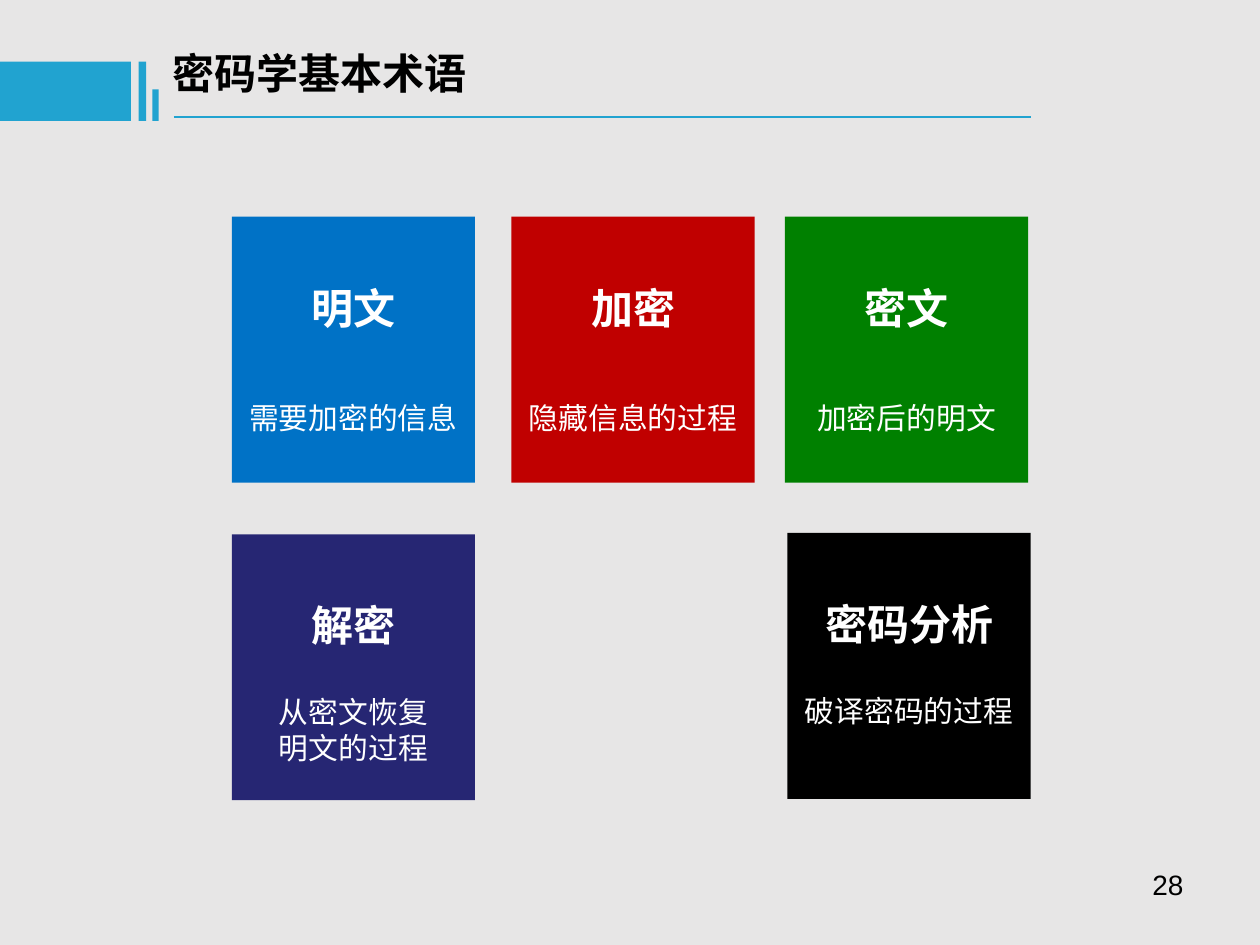
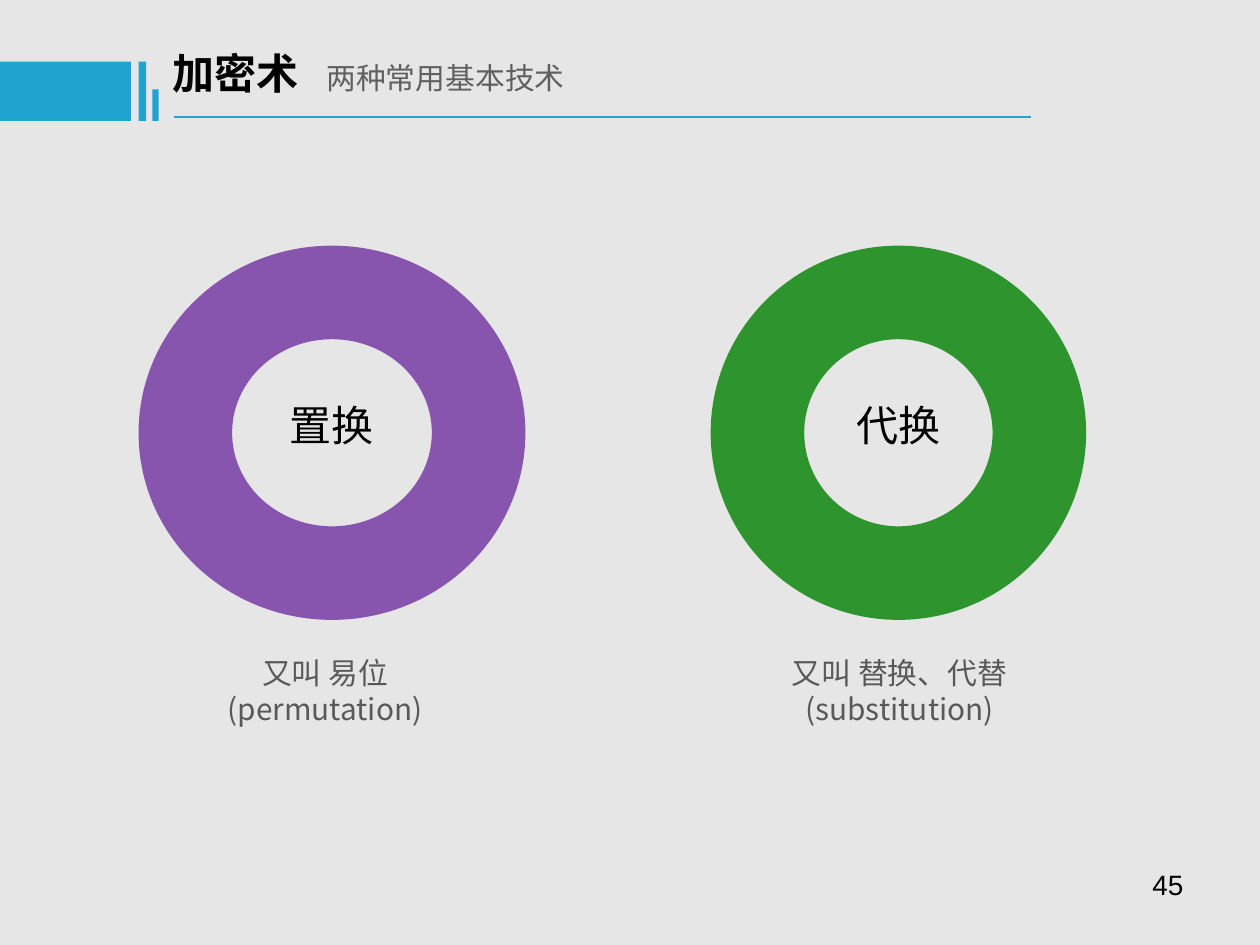
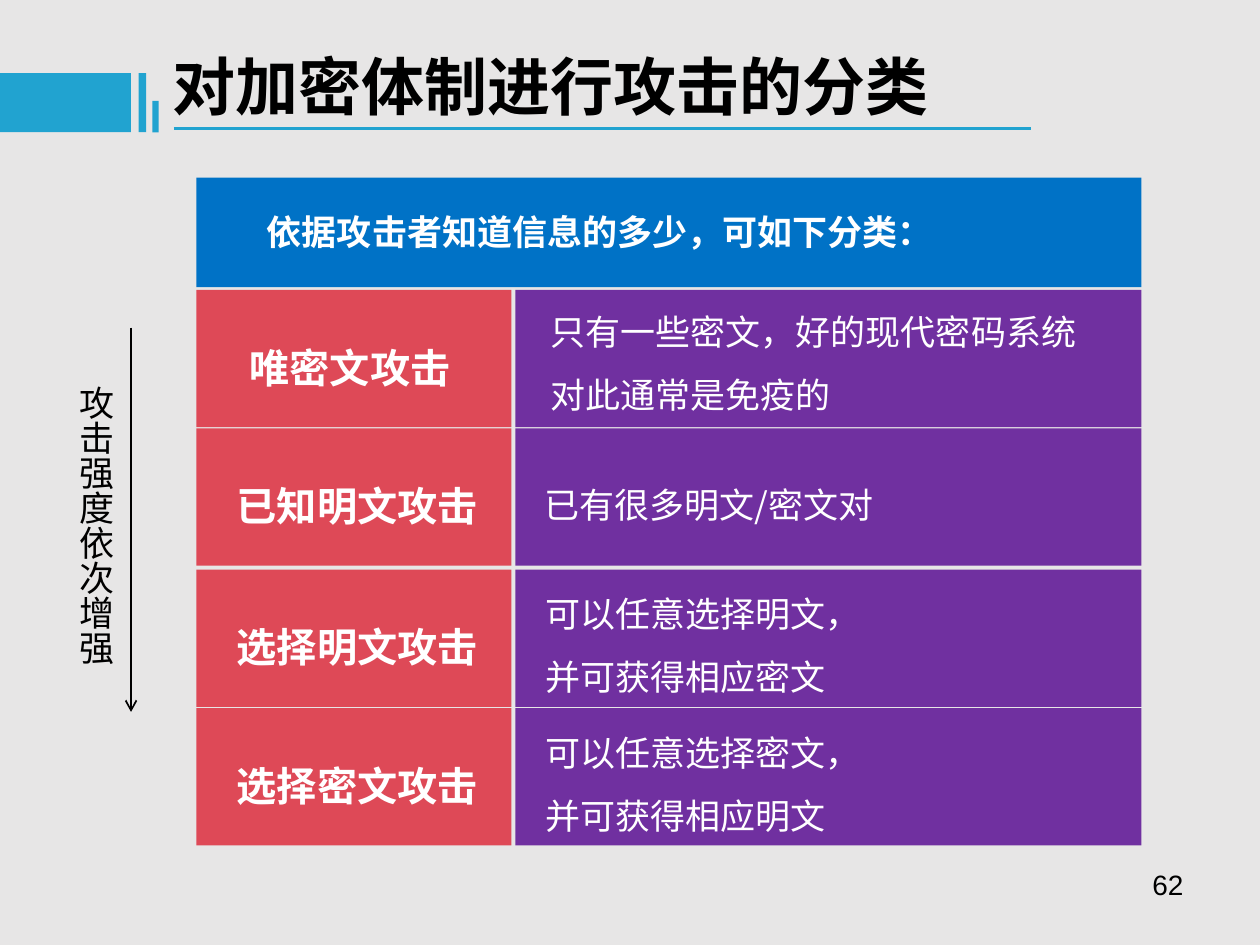
from lxml.etree import SubElement
from pptx import Presentation
from pptx.dml.color import RGBColor
from pptx.enum.shapes import MSO_CONNECTOR, MSO_SHAPE
from pptx.enum.text import MSO_ANCHOR, MSO_AUTO_SIZE, PP_ALIGN
from pptx.oxml.ns import qn
from pptx.util import Inches, Pt

BACKGROUND = RGBColor(0xE7, 0xE6, 0xE6)
ACCENT = RGBColor(0x21, 0xA3, 0xD0)
BLACK = RGBColor(0x00, 0x00, 0x00)
WHITE = RGBColor(0xFF, 0xFF, 0xFF)
SUBTITLE_GRAY = RGBColor(0x60, 0x60, 0x60)
CAPTION_GRAY = RGBColor(0x59, 0x59, 0x59)
BLUE = RGBColor(0x00, 0x72, 0xC6)
RED = RGBColor(0xC0, 0x00, 0x00)
GREEN = RGBColor(0x00, 0x80, 0x00)
NAVY = RGBColor(0x26, 0x26, 0x73)
PURPLE = RGBColor(0x70, 0x30, 0xA0)
ROSE = RGBColor(0xDE, 0x49, 0x57)
CJK_FONT = "Noto Sans CJK SC"


def add_block(slide, box, color, preset=MSO_SHAPE.RECTANGLE):
    block = slide.shapes.add_shape(preset, *map(Inches, box))
    block.shadow.inherit = False
    block.fill.solid()
    block.fill.fore_color.rgb = color
    block.line.fill.background()
    return block


def write(shape, lines, size, color=WHITE, bold=False, align=PP_ALIGN.LEFT,
          spacing=None, font=CJK_FONT):
    frame = shape.text_frame
    frame.word_wrap = True
    frame.auto_size = MSO_AUTO_SIZE.NONE
    frame.vertical_anchor = MSO_ANCHOR.TOP
    frame.text = "\n".join(lines)
    for paragraph in frame.paragraphs:
        paragraph.alignment = align
        if spacing:
            paragraph.line_spacing = spacing
        paragraph.font.size = Pt(size)
        paragraph.font.bold = bold
        paragraph.font.color.rgb = color
        paragraph.font.name = font
        defaults = paragraph._p.pPr.find(qn("a:defRPr"))
        SubElement(defaults, qn("a:ea"), typeface=CJK_FONT)
    return frame


prs = Presentation()
prs.slide_width, prs.slide_height = Inches(10), Inches(7.5)
prs.slide_master.background.fill.solid()
prs.slide_master.background.fill.fore_color.rgb = BACKGROUND

# Title, accent band, rule and page number of every slide
slides = []
connectors = []
for heading, size, band_top, page in [
    ("密码学基本术语", 24, 0.49, "28"),
    ("加密术", 24, 0.49, "45"),
    ("对加密体制进行攻击的分类", 36, 0.58, "62"),
]:
    slide = prs.slides.add_slide(prs.slide_layouts[5])
    slides.append(slide)
    title = slide.shapes.title
    title.left, title.top = Inches(1.27), Inches(0.33)
    title.width, title.height = Inches(7.25), Inches(0.68)
    write(title, [heading], size, BLACK, bold=True)

    for left, drop, width in [(0, 0, 1.04), (1.1, 0, 0.06), (1.21, 0.22, 0.05)]:
        add_block(slide, (left, band_top + drop, width, 0.47 - drop), ACCENT)
    rule_top = Inches(band_top + 0.44)
    rule = slide.shapes.add_connector(
        MSO_CONNECTOR.STRAIGHT, Inches(1.38), rule_top, Inches(8.18), rule_top)
    rule.line.color.rgb = ACCENT
    rule.line.width = Pt(1.5)
    connectors.append(rule)

    number = slide.shapes.add_textbox(
        Inches(7.17), Inches(6.84), Inches(2.32), Inches(0.5))
    write(number, [page], 16, BLACK, align=PP_ALIGN.RIGHT, font="Arial")

terms, techniques, attacks = slides

# Slide 1: tiles with the basic terms
for left, top, color, term, meaning, meaning_drop in [
    (1.84, 1.72, BLUE, "明文", ["需要加密的信息"], 1.4),
    (4.06, 1.72, RED, "加密", ["隐藏信息的过程"], 1.4),
    (6.23, 1.72, GREEN, "密文", ["加密后的明文"], 1.4),
    (1.84, 4.24, NAVY, "解密", ["从密文恢复", "明文的过程"], 1.22),
    (6.25, 4.23, BLACK, "密码分析", ["破译密码的过程"], 1.22),
]:
    add_block(terms, (left, top, 1.93, 2.11), color)
    for lines, drop, height, size, bold in [
        ([term], 0.47, 0.5, 24, True),
        (meaning, meaning_drop, 0.67, 17, False),
    ]:
        label = terms.shapes.add_textbox(
            Inches(left), Inches(top + drop), Inches(1.93), Inches(height))
        write(label, lines, size, bold=bold, align=PP_ALIGN.CENTER)

# Slide 2: subtitle beside the title, set off by a tab stop
heading = techniques.shapes.title.text_frame.paragraphs[0]
tab_list = heading._p.pPr.makeelement(qn("a:tabLst"), {})
SubElement(tab_list, qn("a:tab"), pos=str(Inches(1.22)), algn="l")
heading._p.pPr.insert(0, tab_list)
subtitle = heading.add_run()
subtitle.text = "\t两种常用基本技术"
subtitle.font.size = Pt(17)
subtitle.font.bold = False
subtitle.font.color.rgb = SUBTITLE_GRAY

# Slide 2: rings with the two techniques
for left, width, color, technique, caption_center, caption in [
    (1.1, 3.07, PURPLE, "置换", 2.58, ["又叫 易位", "(permutation)"]),
    (5.64, 2.98, GREEN, "代换", 7.14, ["又叫 替换、代替", "(substitution)"]),
]:
    ring = add_block(techniques, (left, 1.95, width, 2.97), color, MSO_SHAPE.DONUT)
    ring.adjustments[0] = 0.25
    ring_color = ring.fill._xPr.find(qn("a:solidFill"))[0]
    SubElement(ring_color, qn("a:alpha"), val="80000")
    name = techniques.shapes.add_textbox(
        Inches(left), Inches(3.12), Inches(width), Inches(0.5))
    write(name, [technique], 24, BLACK, align=PP_ALIGN.CENTER, font="Calibri")
    note = techniques.shapes.add_textbox(
        Inches(caption_center - 1.05), Inches(5.15), Inches(2.1), Inches(0.67))
    write(note, caption, 17, CAPTION_GRAY, align=PP_ALIGN.CENTER)

# Slide 3: header of the classification
add_block(attacks, (1.56, 1.41, 7.5, 0.87), BLUE)
basis = attacks.shapes.add_textbox(
    Inches(2.02), Inches(1.62), Inches(6.94), Inches(0.44))
write(basis, ["依据攻击者知道信息的多少，可如下分类："], 20, bold=True)

# Slide 3: arrow of growing strength
strength = attacks.shapes.add_connector(
    MSO_CONNECTOR.STRAIGHT, Inches(1.04), Inches(2.6), Inches(1.04), Inches(5.65))
strength.line.color.rgb = BLACK
strength.line.width = Pt(1)
SubElement(strength.line._get_or_add_ln(), qn("a:tailEnd"), type="arrow")
connectors.append(strength)
strength_label = attacks.shapes.add_textbox(
    Inches(0.47), Inches(2.98), Inches(0.5), Inches(2.31))
frame = write(strength_label, ["攻击强度依次增强"], 20, BLACK, align=PP_ALIGN.CENTER)
frame.word_wrap = False
frame.margin_left = frame.margin_right = Inches(0.04)
frame.margin_top = frame.margin_bottom = Inches(0.08)
frame._txBody.bodyPr.set("vert", "eaVert")

# Slide 3: one row per attack
for top, attack, attack_left, knowledge, knowledge_left, drop in [
    (2.3, "唯密文攻击", 1.88,
     ["只有一些密文，好的现代密码系统", "对此通常是免疫的"], 4.27, -0.05),
    (3.4, "已知明文攻击", 1.78, ["已有很多明文/密文对"], 4.22, 0.22),
    (4.52, "选择明文攻击", 1.78,
     ["可以任意选择明文，", "并可获得相应密文"], 4.23, -0.03),
    (5.62, "选择密文攻击", 1.78,
     ["可以任意选择密文，", "并可获得相应明文"], 4.23, -0.03),
]:
    add_block(attacks, (4.09, top, 4.97, 1.09), PURPLE)
    add_block(attacks, (1.56, top, 2.5, 1.09), ROSE)
    known = attacks.shapes.add_textbox(
        Inches(knowledge_left), Inches(top + drop), Inches(4.8), Inches(1.1))
    write(known, knowledge, 20, spacing=1.5)
    attack_label = attacks.shapes.add_textbox(
        Inches(attack_left), Inches(top + 0.18), Inches(2.28), Inches(0.68))
    write(attack_label, [attack], 23, bold=True, spacing=1.5)

# Lines without shadow
for connector in connectors:
    SubElement(connector._element.spPr, qn("a:effectLst"))

prs.save("out.pptx")
